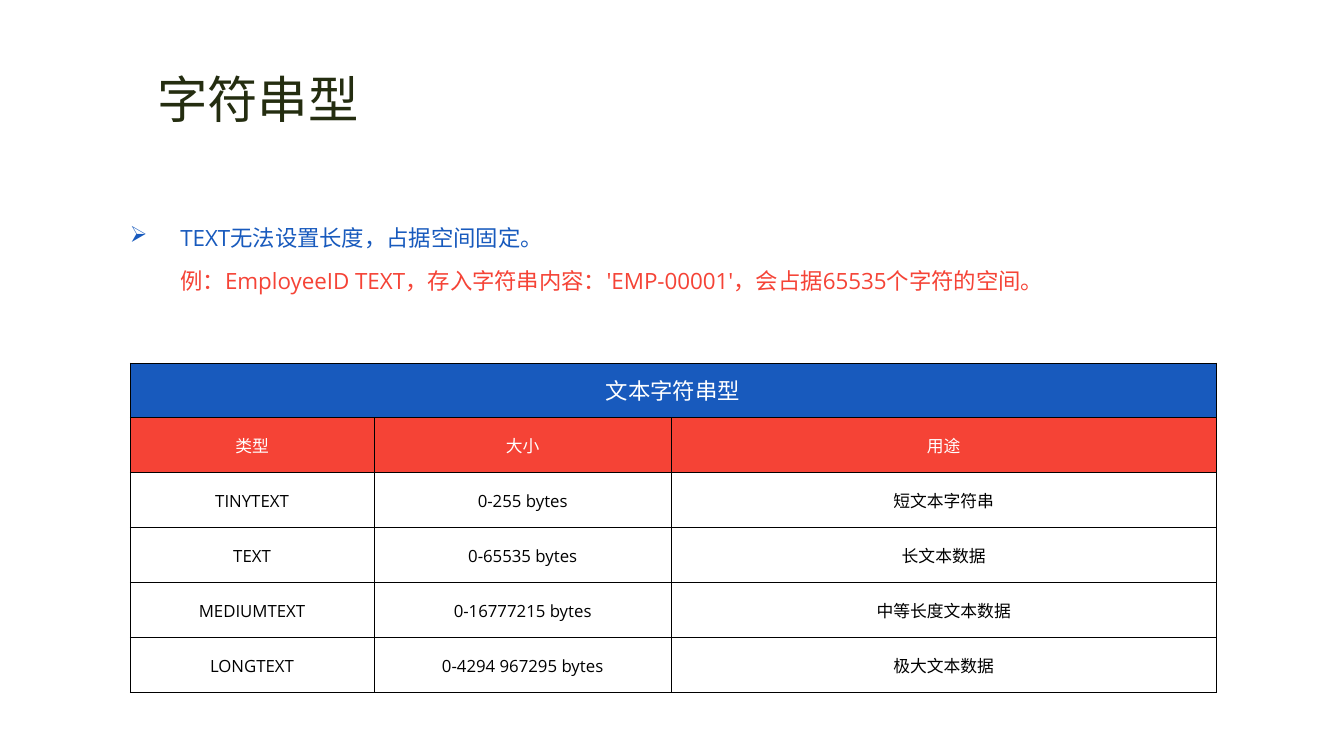
from dataclasses import dataclass
from typing import Optional

from lxml.etree import SubElement
from pptx import Presentation
from pptx.dml.color import RGBColor
from pptx.enum.text import MSO_ANCHOR, PP_ALIGN
from pptx.oxml.ns import qn
from pptx.util import Inches, Pt

COLORS = {
    "title": "242D10",
    "blue": "185ABD",
    "red": "F54336",
    "white": "FFFFFF",
    "black": "000000",
}
FONT = "Open Sans"
COLUMN_WIDTHS = (2.42, 2.95, 5.4)
ROW_HEIGHT = 0.545


@dataclass
class Line:
    text: str
    size: float
    color: str
    spacing: Optional[float] = None
    indent: float = 0
    bullet: str = ""


@dataclass
class TableRow:
    texts: tuple[str, ...]
    size: float = 12
    color: str = "black"
    fill: Optional[str] = None


TITLE = [Line("字符串型", 36, "title")]
NOTES = [
    Line("TEXT无法设置长度，占据空间固定。", 16, "blue", 1.6, 0.5, "➢"),
    Line("例：EmployeeID TEXT，存入字符串内容：'EMP-00001'，会占据65535个字符的空间。",
         16, "red", 1.6, 0.5),
]
ROWS = [
    TableRow(("文本字符串型",), 16, "white", "blue"),
    TableRow(("类型", "大小", "用途"), color="white", fill="red"),
    TableRow(("TINYTEXT", "0-255 bytes", "短文本字符串")),
    TableRow(("TEXT", "0-65535 bytes", "长文本数据")),
    TableRow(("MEDIUMTEXT", "0-16777215 bytes", "中等长度文本数据")),
    TableRow(("LONGTEXT", "0-4294 967295 bytes", "极大文本数据")),
]


def add_span(para, text: str, size: float, color: str) -> None:
    span = para.add_run()
    span.text = text
    span.font.size = Pt(size)
    span.font.name = FONT
    span.font.color.rgb = RGBColor.from_string(COLORS[color])
    SubElement(span.font._element, qn("a:ea"), typeface=FONT)


def set_indent(para, line: Line) -> None:
    """Indent a paragraph, hanging its bullet when it has one."""
    properties = para._p.get_or_add_pPr()
    properties.set("marL", str(Inches(line.indent)))
    properties.set("indent", str(-Inches(line.indent) if line.bullet else 0))
    if line.bullet:
        SubElement(properties, qn("a:buChar"), char=line.bullet)


def add_text(page, left: float, top: float, width: float, height: float,
             lines: list[Line], wrap: bool = True) -> None:
    box = page.shapes.add_textbox(Inches(left), Inches(top), Inches(width), Inches(height))
    frame = box.text_frame
    frame.word_wrap = wrap
    for index, line in enumerate(lines):
        para = frame.add_paragraph() if index else frame.paragraphs[0]
        set_indent(para, line)
        if line.spacing:
            para.line_spacing = line.spacing
        add_span(para, line.text, line.size, line.color)


def add_borders(cell) -> None:
    properties = cell._tc.get_or_add_tcPr()
    for side in ("lnL", "lnR", "lnT", "lnB"):
        border = SubElement(properties, qn(f"a:{side}"), w=str(Pt(0.5)))
        fill = SubElement(border, qn("a:solidFill"))
        SubElement(fill, qn("a:srgbClr"), val=COLORS["black"])


def style_cell(cell, fill: Optional[str]) -> None:
    cell.vertical_anchor = MSO_ANCHOR.MIDDLE
    cell.margin_left = cell.margin_right = cell.margin_top = Inches(0.01)
    cell.margin_bottom = 0
    add_borders(cell)
    if fill:
        cell.fill.solid()
        cell.fill.fore_color.rgb = RGBColor.from_string(COLORS[fill])
    else:
        cell.fill.background()


def add_type_table(page, left: float, top: float) -> None:
    frame = page.shapes.add_table(
        len(ROWS), len(COLUMN_WIDTHS), Inches(left), Inches(top),
        Inches(sum(COLUMN_WIDTHS)), Inches(ROW_HEIGHT * len(ROWS)))
    table = frame.table
    table.first_row = table.horz_banding = False
    for column, width in zip(table.columns, COLUMN_WIDTHS):
        column.width = Inches(width)
    for row_index, row in enumerate(ROWS):
        table.rows[row_index].height = Inches(ROW_HEIGHT)
        for cell in table.rows[row_index].cells:
            style_cell(cell, row.fill)
        for column_index, text in enumerate(row.texts):
            para = table.cell(row_index, column_index).text_frame.paragraphs[0]
            para.alignment = PP_ALIGN.CENTER
            add_span(para, text, row.size, row.color)
    table.cell(0, 0).merge(table.cell(0, len(COLUMN_WIDTHS) - 1))


def main() -> None:
    deck = Presentation()
    deck.slide_width, deck.slide_height = Inches(13.33), Inches(7.5)
    page = deck.slides.add_slide(deck.slide_layouts[6])
    add_text(page, 1.46, 0.63, 2.22, 0.71, TITLE, wrap=False)
    add_type_table(page, 1.29, 3.6)
    add_text(page, 1.19, 2.01, 10.32, 0.91, NOTES)
    deck.save("out.pptx")


if __name__ == "__main__":
    main()
